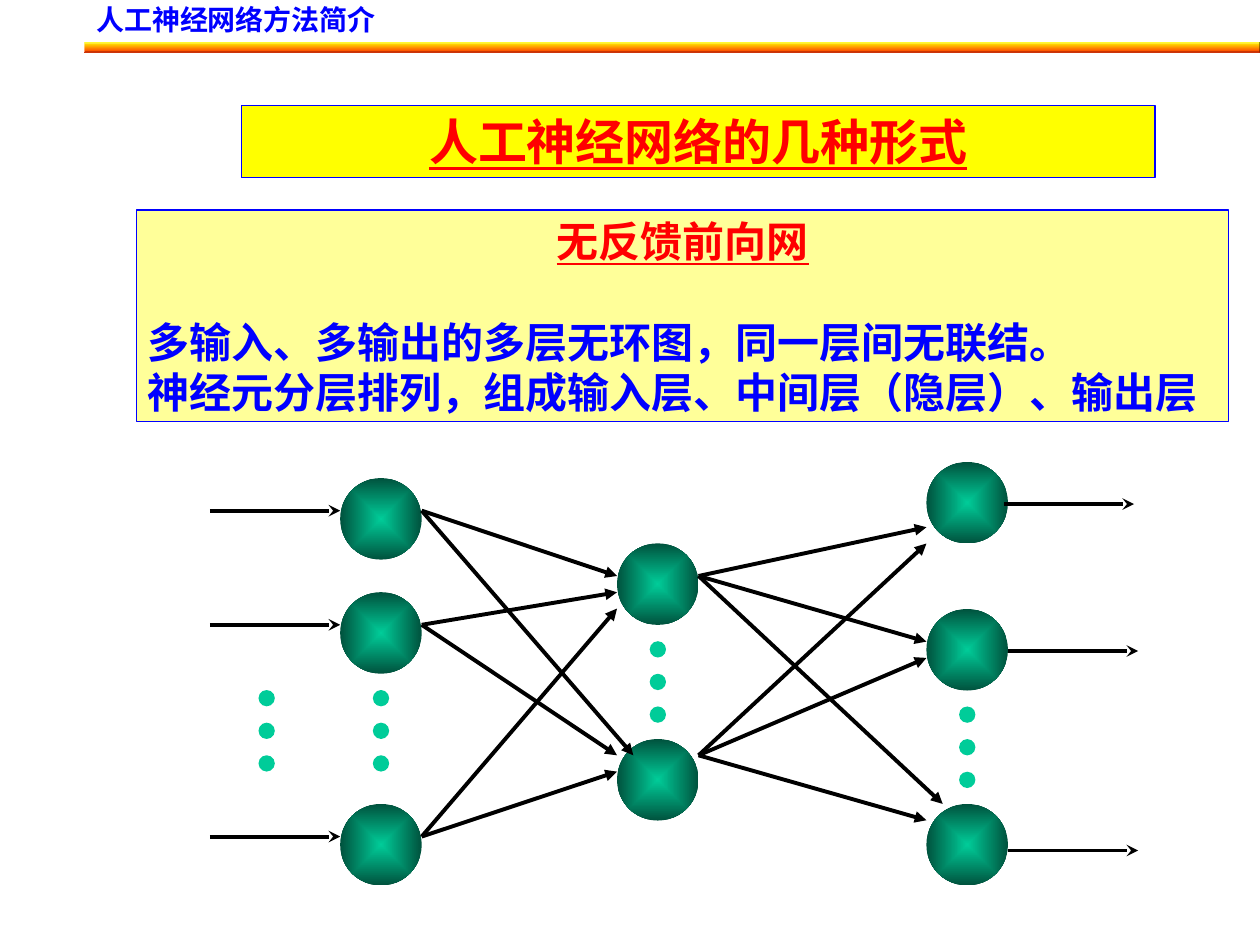
from lxml import etree
from pptx import Presentation
from pptx.dml.color import RGBColor
from pptx.enum import shapes, text
from pptx.oxml import ns
from pptx.util import Pt

THEME = {
    "font": "Times New Roman",
    "blue": "0000FF", "red": "FF0000", "yellow": "FFFF00", "cream": "FFFF99",
    "orange": "FF3300", "green": "00CC99", "dark_green": "00523D", "black": "000000",
    "header_size": 16, "title_size": 28, "body_size": 24,
    "border": 0.75, "arrow": 2.25,
}

HEADER = "人工神经网络方法简介"
TITLE = "人工神经网络的几种形式"
SUBTITLE = "无反馈前向网"
BODY = [
    "多输入、多输出的多层无环图，同一层间无联结。",
    "神经元分层排列，组成输入层、中间层（隐层）、输出层",
]

STEP = 9.32
NODE = 5 * STEP
LAYERS = {
    "input": (194.4, [273.2, 338.4, 459.4]),
    "hidden": (352.6, [310.5, 422.3]),
    "output": (529.4, [264, 348, 459.4]),
}
PORT_STEPS = {"input": [2, 2, 2], "hidden": [2, 1]}
LINKS = [
    ("input", 0, "hidden", 0, 0, 2), ("input", 0, "hidden", 1, 1, 1),
    ("input", 1, "hidden", 0, 0, 3), ("input", 1, "hidden", 1, 0, 1),
    ("input", 2, "hidden", 0, 0, 4), ("input", 2, "hidden", 1, 0, 2),
    ("hidden", 0, "output", 0, 0, 4), ("hidden", 0, "output", 1, 0, 2),
    ("hidden", 0, "output", 2, 1, 0), ("hidden", 1, "output", 0, 0, 5),
    ("hidden", 1, "output", 1, 0, 3), ("hidden", 1, "output", 2, 0, 1),
]
DOT_COLUMNS = [(213.04, 394.3), (147.7, 394.3), (548.04, 403.7), (371.24, 366.4)]
OUTPUT_STARTS = [(573.6, 288), (576, 372), (576, 486)]
SIGNAL = 74.4


def color(name):
    return RGBColor.from_string(THEME[name])


def add_shape(page, kind, left, top, width, height, fill=None, border=None):
    shape = page.shapes.add_shape(kind, Pt(left), Pt(top), Pt(width), Pt(height))
    shape.shadow.inherit = False
    if fill:
        shape.fill.solid()
        shape.fill.fore_color.rgb = color(fill)
    if border:
        shape.line.color.rgb = color(border)
        shape.line.width = Pt(THEME["border"])
    else:
        shape.line.fill.background()
    return shape


def set_gradient(shape, first, last, from_center=False):
    shape.fill.gradient()
    shape.fill.gradient_angle = 270
    for stop, name, position in zip(shape.fill.gradient_stops, (first, last), (0, 1)):
        stop.color.rgb = color(name)
        stop.position = position
    if from_center:
        gradient = shape._element.spPr.find(ns.qn("a:gradFill"))
        gradient.remove(gradient.find(ns.qn("a:lin")))
        center = etree.SubElement(gradient, ns.qn("a:path"), path="rect")
        etree.SubElement(center, ns.qn("a:fillToRect"), l="50000", t="50000", r="50000", b="50000")


def set_frame(box, horizontal, vertical):
    frame = box.text_frame
    frame.word_wrap = True
    frame.vertical_anchor = text.MSO_ANCHOR.TOP
    frame.margin_left = frame.margin_right = Pt(horizontal)
    frame.margin_top = frame.margin_bottom = Pt(vertical)
    return frame


def write(para, words, size, name, align="LEFT", underline=False):
    para.alignment = getattr(text.PP_ALIGN, align)
    span = para.add_run()
    span.text = words
    span.font.name = THEME["font"]
    span.font.size = Pt(THEME[size])
    span.font.bold = True
    span.font.underline = underline
    span.font.color.rgb = color(name)


def add_arrow(page, start, end, head):
    line = page.shapes.add_connector(
        shapes.MSO_CONNECTOR.STRAIGHT, *(Pt(value) for value in (*start, *end)))
    line.line.color.rgb = color("black")
    line.line.width = Pt(THEME["arrow"])
    etree.SubElement(line.line._get_or_add_ln(), ns.qn("a:tailEnd"), type=head)
    etree.SubElement(line._element.spPr, ns.qn("a:effectLst"))


def add_texts(page):
    kind = shapes.MSO_SHAPE
    bar = add_shape(page, kind.BEVEL, 48, 24, 672, 6)
    bar.adjustments[0] = 0.125
    set_gradient(bar, "yellow", "orange")

    header = page.shapes.add_textbox(Pt(48), Pt(0), Pt(474), Pt(42))
    para = set_frame(header, 7.2, 3.6).paragraphs[0]
    para.line_spacing = 0.9
    write(para, HEADER, "header_size", "blue")

    title = add_shape(page, kind.RECTANGLE, 138, 60.4, 522, 41, "yellow", "blue")
    write(set_frame(title, 7.2, 3.6).paragraphs[0], TITLE, "title_size", "red", "CENTER", True)

    panel = add_shape(page, kind.RECTANGLE, 78, 120, 624, 121, "cream", "blue")
    frame = set_frame(panel, 6, 3)
    write(frame.paragraphs[0], SUBTITLE, "body_size", "red", "CENTER", True)
    for index, words in enumerate(BODY):
        para = frame.add_paragraph()
        para.space_before = Pt(0 if index else 28.9)
        write(para, words, "body_size", "blue")


def add_network(page):
    kind = shapes.MSO_SHAPE
    for left, tops in LAYERS.values():
        for top in tops:
            node = add_shape(page, kind.OVAL, left, top, NODE, NODE)
            set_gradient(node, "green", "dark_green", True)

    def port(layer, index):
        left, tops = LAYERS[layer]
        return left + NODE, tops[index] + PORT_STEPS[layer][index] * STEP

    for index in range(len(LAYERS["input"][1])):
        end = (LAYERS["input"][0], port("input", index)[1])
        add_arrow(page, (end[0] - SIGNAL, end[1]), end, "stealth")

    for source, index, target, row, across, down in LINKS:
        left, tops = LAYERS[target]
        end = (left + across * STEP, tops[row] + down * STEP)
        add_arrow(page, port(source, index), end, "triangle")

    for left, top in DOT_COLUMNS:
        for index in range(3):
            add_shape(page, kind.FLOWCHART_CONNECTOR,
                      left, top + 2 * index * STEP, STEP, STEP, "green")

    for left, top in OUTPUT_STARTS:
        add_arrow(page, (left, top), (left + SIGNAL, top), "stealth")


def main():
    deck = Presentation()
    deck.slide_width, deck.slide_height = Pt(720), Pt(540)
    page = deck.slides.add_slide(deck.slide_layouts[6])
    add_texts(page)
    add_network(page)
    deck.save("out.pptx")


if __name__ == "__main__":
    main()
